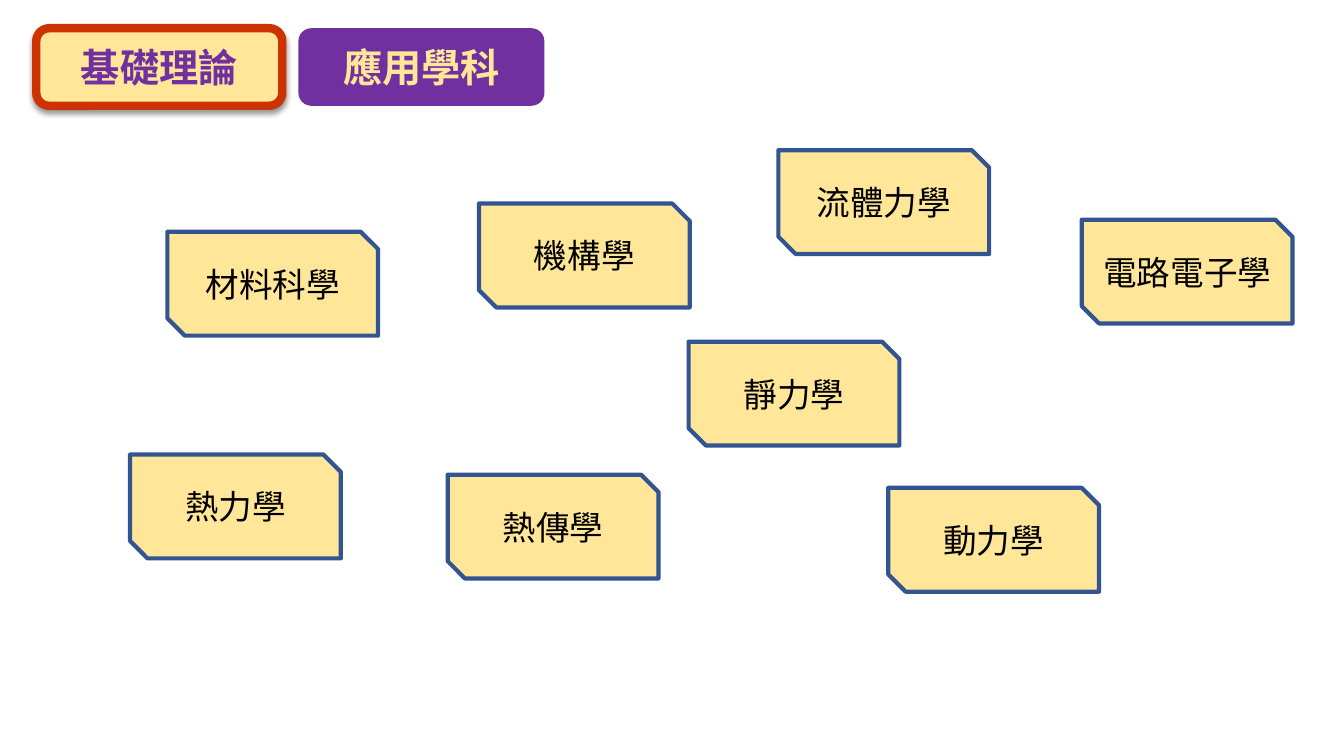
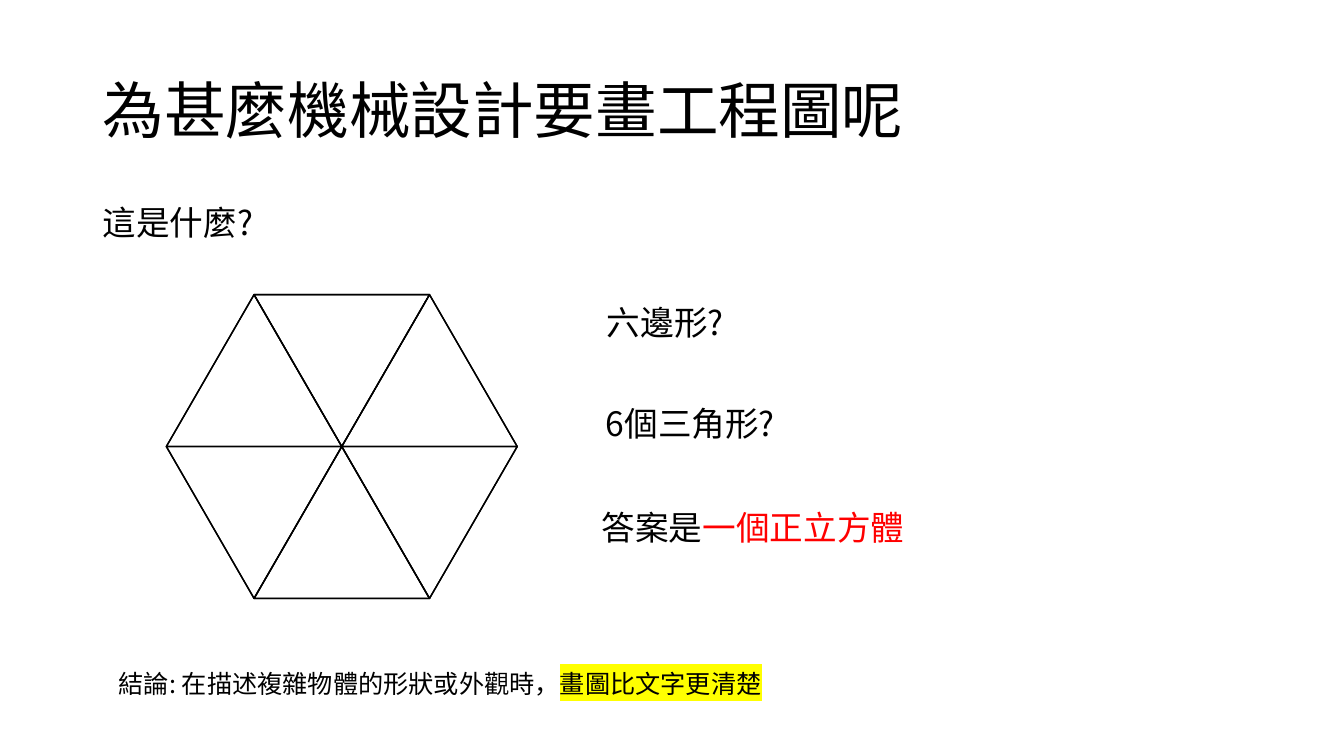
import math
from dataclasses import dataclass

from lxml import etree
from pptx import Presentation
from pptx.dml.color import RGBColor
from pptx.enum.shapes import MSO_CONNECTOR, MSO_SHAPE
from pptx.enum.text import MSO_ANCHOR, PP_ALIGN
from pptx.oxml.ns import qn
from pptx.util import Inches, Pt

ROUNDED = MSO_SHAPE.ROUNDED_RECTANGLE
SNIPPED = MSO_SHAPE.SNIP_2_DIAG_RECTANGLE
TRIANGLE = MSO_SHAPE.FLOWCHART_MERGE
PARALLELOGRAM = MSO_SHAPE.PARALLELOGRAM
STRAIGHT = MSO_CONNECTOR.STRAIGHT
TOP, MIDDLE = MSO_ANCHOR.TOP, MSO_ANCHOR.MIDDLE
CENTER = PP_ALIGN.CENTER


@dataclass(frozen=True)
class Theme:
    font: str = "Noto Sans CJK SC"
    black: str = "000000"
    cream: str = "FFE699"
    purple: str = "7030A0"
    rust: str = "CC3300"
    blue: str = "325491"
    red: str = "FF0000"
    yellow: str = "FFFF00"
    title_size: int = 44
    tab_size: int = 28
    body_size: int = 24
    note_size: int = 18


THEME = Theme()


class Deck:
    """Holds the style and the slide being drawn."""

    def __init__(self, theme):
        self.theme = theme
        self.presentation = Presentation()
        self.presentation.slide_width = Inches(13.33)
        self.presentation.slide_height = Inches(7.5)
        self.slide = None

    def new_slide(self):
        self.slide = self.presentation.slides.add_slide(self.presentation.slide_layouts[6])

    def fill_text(self, text_frame, runs, size, anchor=TOP, **paragraph_format):
        """Each run is its text and a dict with color, bold or highlight."""
        text_frame.word_wrap = True
        text_frame.vertical_anchor = anchor
        paragraph = text_frame.paragraphs[0]
        for name, value in paragraph_format.items():
            setattr(paragraph, name, value)
        for text, style in runs:
            run = paragraph.add_run()
            run.text = text
            font_format = {"name": self.theme.font, "size": Pt(size), "bold": style.get("bold", False)}
            for name, value in font_format.items():
                setattr(run.font, name, value)
            run.font.color.rgb = RGBColor.from_string(style.get("color", self.theme.black))
            # East Asian font and highlight sit on either side of the latin font
            latin = run.font._element.find(qn("a:latin"))
            east_asian = etree.Element(qn("a:ea"), typeface=self.theme.font)
            latin.addnext(east_asian)
            if "highlight" in style:
                highlight = etree.Element(qn("a:highlight"))
                etree.SubElement(highlight, qn("a:srgbClr"), val=style["highlight"])
                latin.addprevious(highlight)

    def text(self, left, top, width, height, runs, size, **text_format):
        box = self.slide.shapes.add_textbox(Inches(left), Inches(top), Inches(width), Inches(height))
        self.fill_text(box.text_frame, runs, size, **text_format)

    def shape(self, kind, left, top, width, height, fill=None, line=None, line_width=1):
        shape = self.slide.shapes.add_shape(
            kind, Inches(left), Inches(top), Inches(width), Inches(height))
        shape.shadow.inherit = False
        if fill:
            shape.fill.solid()
            shape.fill.fore_color.rgb = RGBColor.from_string(fill)
        else:
            shape.fill.background()
        if line:
            shape.line.color.rgb = RGBColor.from_string(line)
            shape.line.width = Pt(line_width)
        else:
            shape.line.fill.background()
        return shape

    def label(self, kind, left, top, width, height, text, size, style, **shape_format):
        shape = self.shape(kind, left, top, width, height, **shape_format)
        self.fill_text(shape.text_frame, [(text, style)], size, anchor=MIDDLE, alignment=CENTER)
        return shape

    def soft_shadow(self, shape):
        effects = shape._element.spPr.find(qn("a:effectLst"))
        shadow = etree.SubElement(effects, qn("a:outerShdw"), blurRad=str(Pt(4)), dist=str(Pt(3)),
                                  dir="5400000", algn="t", rotWithShape="0")
        color = etree.SubElement(shadow, qn("a:srgbClr"), val=self.theme.black)
        etree.SubElement(color, qn("a:alpha"), val="40000")

    def line(self, start, end):
        connector = self.slide.shapes.add_connector(
            STRAIGHT, *(Inches(value) for value in (*start, *end)))
        connector.line.color.rgb = RGBColor.from_string(self.theme.black)
        connector.line.width = Pt(1)
        etree.SubElement(connector._element.spPr, qn("a:effectLst"))


def subjects_slide(deck):
    deck.new_slide()

    # Category tabs
    tab_top, tab_width, tab_height = 0.28, 2.44, 0.77
    theory = deck.label(ROUNDED, 0.36, tab_top, tab_width, tab_height, "基礎理論", THEME.tab_size,
                        {"color": THEME.purple, "bold": True},
                        fill=THEME.cream, line=THEME.rust, line_width=6)
    deck.soft_shadow(theory)
    deck.label(ROUNDED, 2.96, tab_top, tab_width, tab_height, "應用學科", THEME.tab_size,
               {"color": THEME.cream, "bold": True}, fill=THEME.purple)

    # Subject cards
    subjects = [
        ("材料科學", 1.66, 2.3), ("機構學", 4.75, 2.02),
        ("熱力學", 1.29, 4.51), ("熱傳學", 4.44, 4.71),
        ("靜力學", 6.83, 3.39), ("流體力學", 7.72, 1.49),
        ("電路電子學", 10.73, 2.18), ("動力學", 8.81, 4.84),
    ]
    for name, left, top in subjects:
        deck.label(SNIPPED, left, top, 2.09, 1.03, name, THEME.body_size, {},
                   fill=THEME.cream, line=THEME.blue, line_width=3)


def hexagon(deck, center_x, center_y, side):
    height = side * math.sqrt(3) / 2
    half = side / 2

    # Six triangles: a turn about the center, then a shift by whole sides
    for turn, shift in [(0, 0), (180, 0), (120, 0), (300, 1), (120, -1), (300, 0)]:
        angle = math.radians(turn)
        middle_x = center_x + height / 2 * math.sin(angle) + shift * side
        middle_y = center_y - height / 2 * math.cos(angle)
        triangle = deck.shape(TRIANGLE, middle_x - half, middle_y - height / 2,
                              side, height, line=THEME.black)
        triangle.rotation = turn

    # Cube faces
    for left, top in [(center_x - half, center_y), (center_x - side, center_y - height)]:
        face = deck.shape(PARALLELOGRAM, left, top, side + half, height, line=THEME.black)
        face.adjustments[0] = half / height

    # Parallel cube edges
    for x, y in [(center_x - side, center_y), (center_x, center_y),
                 (center_x - half, center_y - height), (center_x + half, center_y - height)]:
        deck.line((x, y), (x + half, y + height))


def drawing_slide(deck):
    deck.new_slide()

    # Title and question
    deck.text(0.92, 0.4, 11.5, 1.45, [("為甚麼機械設計要畫工程圖呢", {})], THEME.title_size,
              anchor=MIDDLE, line_spacing=0.9)
    deck.text(0.92, 2, 4.5, 0.5, [("這是什麼?", {})], THEME.body_size, line_spacing=0.9)

    hexagon(deck, 3.39, 4.43, 1.74)

    # Answers
    answers = [
        (5.92, 2.95, [("六邊形?", {})]),
        (5.91, 3.95, [("6個三角形?", {})]),
        (5.87, 4.98, [("答案是", {}), ("一個正立方體", {"color": THEME.red})]),
    ]
    for left, top, runs in answers:
        deck.text(left, top, 3.81, 0.5, runs, THEME.body_size)

    # Conclusion
    deck.text(1.08, 6.58, 7.26, 0.4,
              [("結論: 在描述複雜物體的形狀或外觀時，", {}),
               ("畫圖比文字更清楚", {"highlight": THEME.yellow})], THEME.note_size)


def main():
    deck = Deck(THEME)
    subjects_slide(deck)
    drawing_slide(deck)
    deck.presentation.save("out.pptx")


if __name__ == "__main__":
    main()
